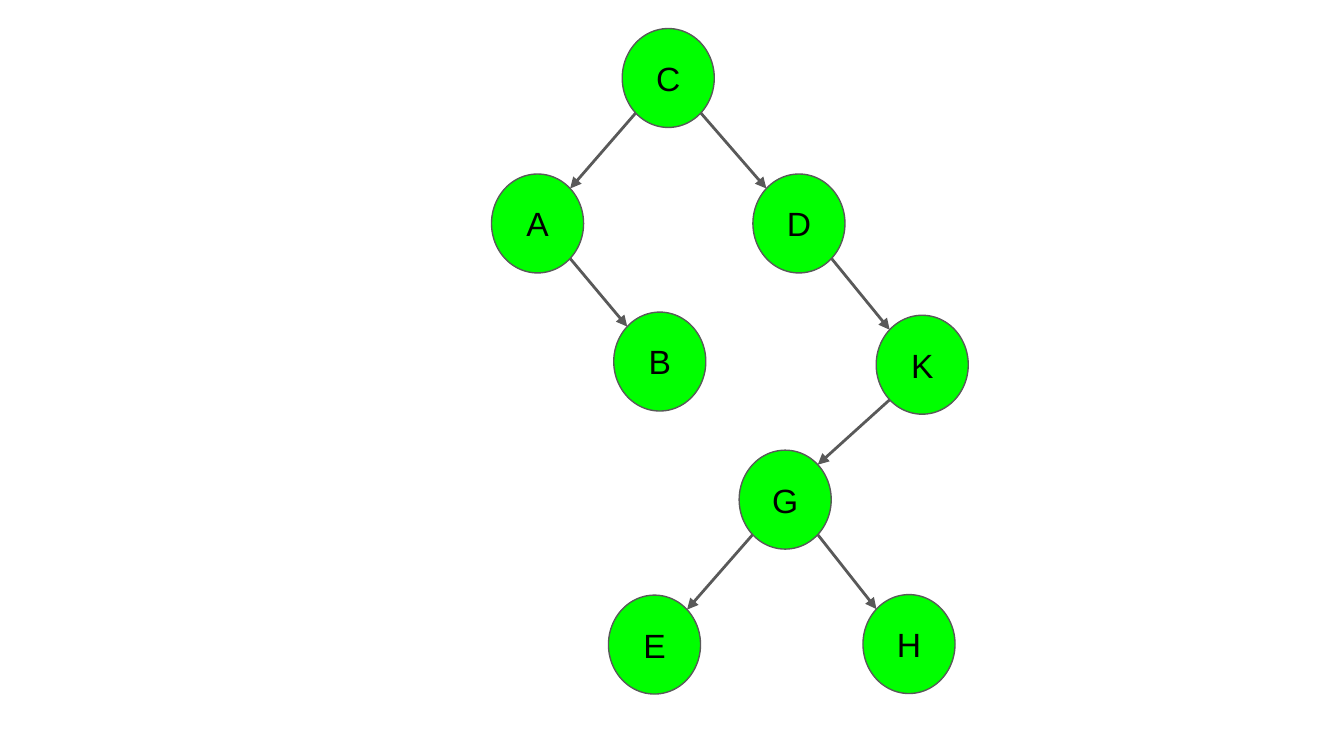
from math import sqrt

from lxml import etree
from pptx import Presentation
from pptx import util as u
from pptx.dml.color import RGBColor
from pptx.enum import shapes, text
from pptx.oxml import ns

GREEN = RGBColor(0x00, 0xFF, 0x00)
GREY = RGBColor(0x59, 0x59, 0x59)
BLACK = RGBColor(0x00, 0x00, 0x00)

WIDE, HIGH = u.Cm(1.74), u.Cm(1.87)

# Left and top of each node, in cm
NODES = {
    "C": (11.76, 0.54),
    "A": (9.29, 3.29),
    "B": (11.6, 5.9),
    "D": (14.23, 3.29),
    "K": (16.56, 5.96),
    "G": (13.97, 8.51),
    "E": (11.5, 11.25),
    "H": (16.31, 11.24),
}
EDGES = ["CA", "CD", "AB", "DK", "KG", "GE", "GH"]


def write(shape, words, font="Arial", size=18, color=BLACK):
    frame = shape.text_frame
    frame.vertical_anchor = text.MSO_ANCHOR.MIDDLE
    frame.margin_left = frame.margin_right = u.Cm(0.25)
    frame.margin_top = frame.margin_bottom = u.Cm(0.25)
    line = frame.paragraphs[0]
    line.alignment = text.PP_ALIGN.CENTER
    run = line.add_run()
    run.text = words
    run.font.name = font
    run.font.size = u.Pt(size)
    run.font.color.rgb = color


def add_node(slide, name, left, top):
    node = slide.shapes.add_shape(
        shapes.MSO_SHAPE.OVAL, u.Cm(left), u.Cm(top), WIDE, HIGH)
    node.shadow.inherit = False
    node.fill.solid()
    node.fill.fore_color.rgb = GREEN
    node.line.color.rgb = GREY
    node.line.width = u.Pt(0.75)
    write(node, name)
    return node


def rim(node, side, down):
    """Point on the oval's diagonal: side -1 left, 1 right; down -1 top, 1 bottom."""
    x = node.left + node.width / 2 * (1 + side / sqrt(2))
    y = node.top + node.height / 2 * (1 + down / sqrt(2))
    return int(x), int(y)


def add_arrow(slide, parent, child):
    side = 1 if child.left > parent.left else -1
    arrow = slide.shapes.add_connector(
        shapes.MSO_CONNECTOR.STRAIGHT,
        *rim(parent, side, 1), *rim(child, -side, -1))
    arrow.line.color.rgb = GREY
    arrow.line.width = u.Pt(1.5)
    etree.SubElement(arrow.line._get_or_add_ln(), ns.qn("a:tailEnd"), type="triangle")
    etree.SubElement(arrow.element.spPr, ns.qn("a:effectLst"))


def main():
    deck = Presentation()
    deck.slide_width, deck.slide_height = u.Cm(25.4), u.Cm(14.29)
    slide = deck.slides.add_slide(deck.slide_layouts[6])
    tree = {name: add_node(slide, name, *spot) for name, spot in NODES.items()}
    for parent, child in EDGES:
        add_arrow(slide, tree[parent], tree[child])
    deck.save("out.pptx")


if __name__ == "__main__":
    main()
